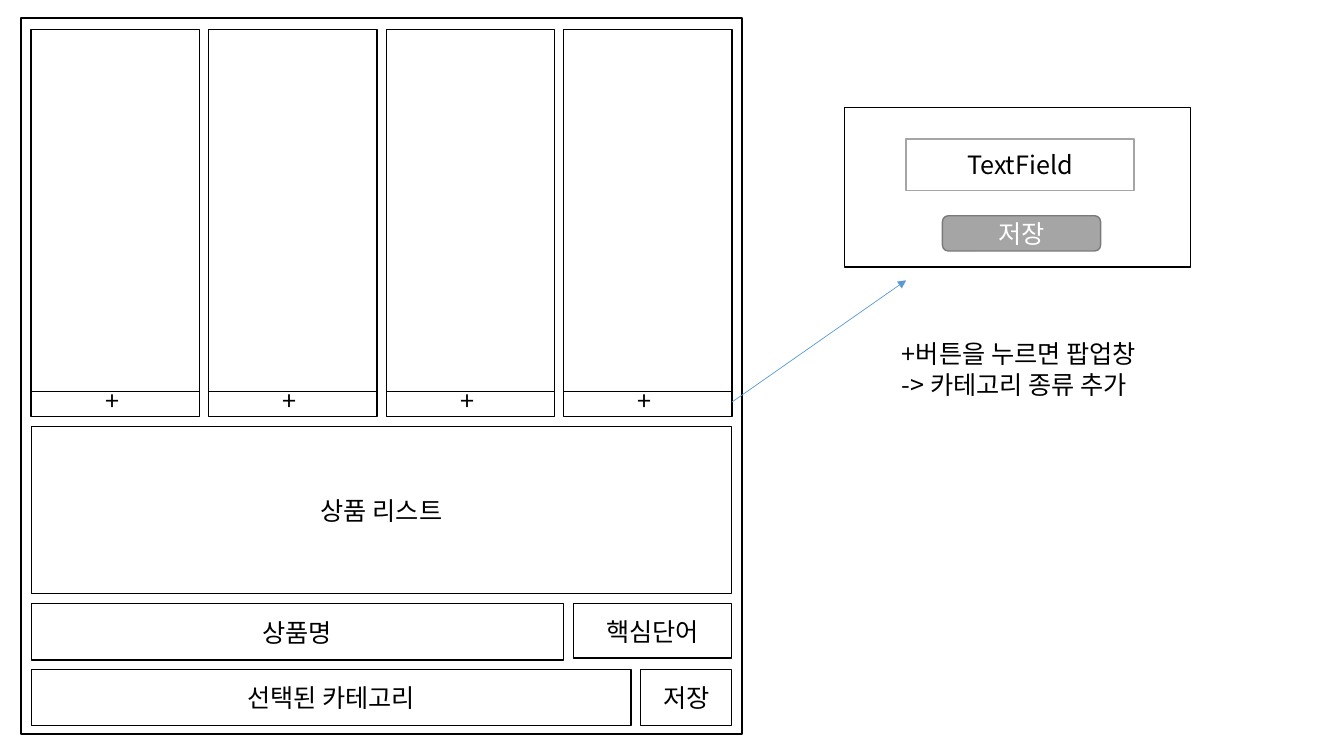
from pptx import Presentation, util as u
from pptx.dml import color
from pptx.enum import shapes as sh, text as tx
from pptx.oxml import ns
from lxml import etree

FONT = "Noto Sans CJK KR"
BLACK, WHITE, GREY, EDGE, BLUE = "000000", "FFFFFF", "A5A5A5", "7A7A7A", "5B9BD5"
LEFT, RIGHT, GAP = 22.3, 522.7, 7
COLS, STEP, COL_W, COL_TOP, COL_H, BAR_Y = 4, 126.8, 120.2, 20.9, 276.5, 279.4

# top, then (label, width, height) of each cell; no width means fill to RIGHT
ROWS = [
    (304.6, [("상품 리스트", None, 119.5)]),
    (431.3, [("상품명", 380.2, 40.3), ("핵심단어", None, 38.9)]),
    (478.1, [("선택된 카테고리", 428.4, 40.3), ("저장", None, 40.3)]),
]
FRAME = (15.1, 13, 514.8, 511.2)
POPUP = (603.4, 77, 247, 113.8)
FIELD = ("TextField", (647.3, 99.4, 162.7, 36.7))
SAVE = ("저장", (673.2, 154.1, 113, 25.2))
ARROW = (RIGHT, 287.3, 647.3, 200.2)
NOTE = (["+버튼을 누르면 팝업창", "-> 카테고리 종류 추가"], (637.2, 238.3, 243.4, 51.1))


def rgb(code):
    """Turn a hex string into a colour."""
    return color.RGBColor.from_string(code)


def pts(nums):
    """Turn numbers into lengths in points."""
    return [u.Pt(n) for n in nums]


def write(frame, lines, ink=BLACK, align=tx.PP_ALIGN.LEFT):
    """Write each line as one paragraph with one run."""
    for i, line in enumerate(lines):
        para = frame.add_paragraph() if i else frame.paragraphs[0]
        para.alignment = align
        run = para.add_run()
        run.text = line
        run.font.name, run.font.size = FONT, u.Pt(18)
        run.font.color.rgb = rgb(ink)
        east = etree.SubElement(run.font._element, ns.qn("a:ea"))
        east.set("typeface", FONT)


def box(home, area, label="", fill=WHITE, line=BLACK, ink=BLACK,
        kind=sh.MSO_SHAPE.RECTANGLE):
    """Draw an outlined shape with an optional centred label."""
    item = home.add_shape(kind, *pts(area))
    item.shadow.inherit = False
    item.fill.solid()
    item.fill.fore_color.rgb = rgb(fill)
    item.line.color.rgb = rgb(line)
    item.line.width = u.Pt(1)
    if label:
        item.text_frame.vertical_anchor = tx.MSO_ANCHOR.MIDDLE
        item.text_frame.word_wrap = True
        write(item.text_frame, [label], ink, tx.PP_ALIGN.CENTER)


def rule(home, ends, ink=BLACK, arrow=False):
    """Draw a thin line, with an arrowhead if asked."""
    item = home.add_connector(sh.MSO_CONNECTOR.STRAIGHT, *pts(ends))
    item.line.color.rgb = rgb(ink)
    item.line.width = u.Pt(0.5)
    if arrow:
        tip = etree.SubElement(item.line._get_or_add_ln(), ns.qn("a:tailEnd"))
        tip.set("type", "triangle")
    etree.SubElement(item._element.spPr, ns.qn("a:effectLst"))


def note(home, lines, area):
    """Add a wrapping text box."""
    frame = home.add_textbox(*pts(area)).text_frame
    frame.word_wrap = True
    frame.auto_size = tx.MSO_AUTO_SIZE.SHAPE_TO_FIT_TEXT
    write(frame, lines)


deck = Presentation()
deck.slide_width, deck.slide_height = pts((960, 540))
page = deck.slides.add_slide(deck.slide_layouts[6]).shapes

box(page, FRAME)
for n in range(COLS):
    x = LEFT + n * STEP
    col = page.add_group_shape().shapes
    box(col, (x, COL_TOP, COL_W, COL_H))
    rule(col, (x, BAR_Y, x + COL_W, BAR_Y))
    note(col, ["+"], (x + 45.7, 271.4, 36.7, 28.8))

for top, cells in ROWS:
    x = LEFT
    for label, wide, high in cells:
        wide = wide or RIGHT - x
        box(page, (x, top, wide, high), label)
        x += wide + GAP

box(page, POPUP)
box(page, FIELD[1], FIELD[0], line=GREY)
box(page, SAVE[1], SAVE[0], GREY, EDGE, WHITE, sh.MSO_SHAPE.ROUNDED_RECTANGLE)
rule(page, ARROW, BLUE, arrow=True)
note(page, *NOTE)

deck.save("out.pptx")
